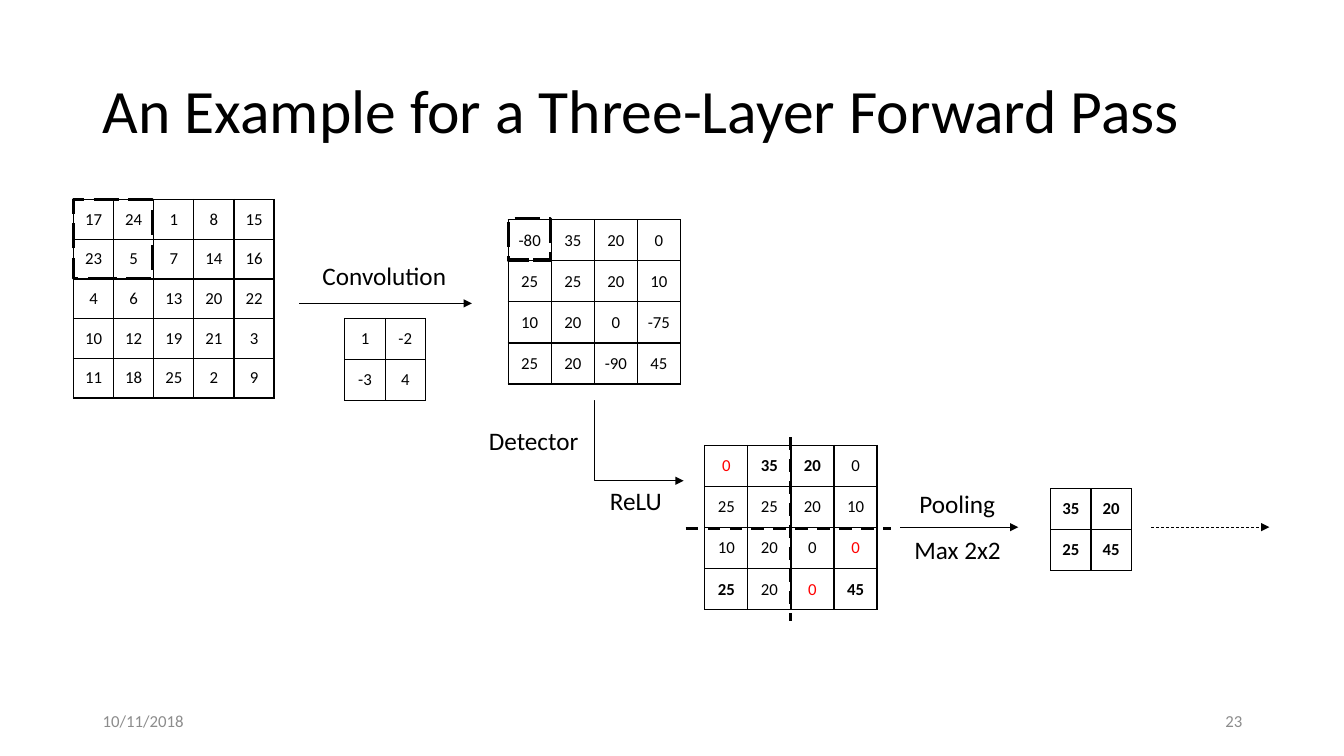
from itertools import product

from lxml.etree import SubElement
from pptx import Presentation
from pptx.dml.color import RGBColor
from pptx.enum.dml import MSO_LINE
from pptx.enum.shapes import MSO_CONNECTOR, MSO_SHAPE
from pptx.enum.text import MSO_ANCHOR, MSO_AUTO_SIZE, PP_ALIGN
from pptx.oxml import parse_xml
from pptx.oxml.ns import nsdecls, qn
from pptx.util import Inches, Pt

IMAGE = [
    [17, 24, 1, 8, 15],
    [23, 5, 7, 14, 16],
    [4, 6, 13, 20, 22],
    [10, 12, 19, 21, 3],
    [11, 18, 25, 2, 9],
]
KERNEL = [[1, -2], [-3, 4]]
WINDOW = list(product(range(2), repeat=2))


def color(hex_code):
    return RGBColor.from_string(hex_code)


class ForwardPassSlide:
    """Draws the elements of one slide in a shared style."""

    FONT = "Calibri"
    BLACK, RED, GRAY = "000000", "FF0000", "8C8C8C"

    def __init__(self, presentation):
        self.slide = presentation.slides.add_slide(presentation.slide_layouts[5])
        self.shapes = self.slide.shapes

    def style(self, paragraph, size, hex_code=BLACK, bold=False, align=PP_ALIGN.LEFT):
        paragraph.alignment = align
        font = paragraph.font
        font.name, font.size, font.bold = self.FONT, Pt(size), bold
        font.color.rgb = color(hex_code)

    def title(self, text, left, top, width, height):
        heading = self.shapes.title
        heading.left, heading.top = Inches(left), Inches(top)
        heading.width, heading.height = Inches(width), Inches(height)
        frame = heading.text_frame
        frame.text = text
        frame.auto_size = MSO_AUTO_SIZE.NONE
        frame.vertical_anchor = MSO_ANCHOR.MIDDLE
        frame.paragraphs[0].line_spacing = 0.9
        self.style(frame.paragraphs[0], 44)

    def label(self, text, left, top, width):
        frame = self.shapes.add_textbox(
            Inches(left), Inches(top), Inches(width), Inches(0.4)).text_frame
        frame.word_wrap = False
        frame.text = text
        self.style(frame.paragraphs[0], 18)

    def footer(self, text, left, align):
        frame = self.shapes.add_textbox(
            Inches(left), Inches(6.95), Inches(3), Inches(0.4)).text_frame
        frame.word_wrap = True
        frame.vertical_anchor = MSO_ANCHOR.MIDDLE
        frame.text = text
        self.style(frame.paragraphs[0], 12, self.GRAY, align=align)

    def matrix(self, values, left, top, width, height, bold=(), red=()):
        count = len(values)
        table = self.shapes.add_table(
            count, count, Inches(left), Inches(top), Inches(width), Inches(height)).table
        table.first_row = table.horz_banding = False
        for line in (*table.columns, *table.rows):
            if line in tuple(table.columns):
                line.width = Inches(width / count)
            else:
                line.height = Inches(height / count)
        for row, column in product(range(count), repeat=2):
            cell = table.cell(row, column)
            cell.text = str(values[row][column])
            cell.vertical_anchor = MSO_ANCHOR.MIDDLE
            cell.margin_left = cell.margin_right = Inches(0.02)
            cell.margin_top = cell.margin_bottom = Inches(0.02)
            self.style(cell.text_frame.paragraphs[0], 12,
                       self.RED if (row, column) in red else self.BLACK,
                       (row, column) in bold, PP_ALIGN.CENTER)
            cell.fill.background()
            self.borders(cell)

    def borders(self, cell):
        properties = cell._tc.get_or_add_tcPr()
        for index, side in enumerate("LRTB"):
            properties.insert(index, parse_xml(
                f'<a:ln{side} {nsdecls("a")} w="12700"><a:solidFill>'
                f'<a:srgbClr val="{self.BLACK}"/></a:solidFill></a:ln{side}>'))

    def connector(self, start, end, weight=0.5, dash=None, arrow=True,
                  kind=MSO_CONNECTOR.STRAIGHT):
        connector = self.shapes.add_connector(kind, *map(Inches, (*start, *end)))
        connector.line.color.rgb = color(self.BLACK)
        connector.line.width = Pt(weight)
        if dash:
            connector.line.dash_style = dash
        properties = connector._element.spPr
        if arrow:
            SubElement(properties.find(qn("a:ln")), qn("a:tailEnd"), type="triangle")
        SubElement(properties, qn("a:effectLst"))
        return connector

    def elbow(self, start, end, bend):
        connector = self.connector(start, end, kind=MSO_CONNECTOR.ELBOW)
        geometry = connector._element.spPr.find(qn("a:prstGeom"))
        adjustments = geometry.find(qn("a:avLst"))
        if adjustments is None:
            adjustments = SubElement(geometry, qn("a:avLst"))
        SubElement(adjustments, qn("a:gd"), name="adj1", fmla=f"val {bend}")

    def focus(self, left, top, width, height):
        frame = self.shapes.add_shape(
            MSO_SHAPE.RECTANGLE, Inches(left), Inches(top), Inches(width), Inches(height))
        frame.shadow.inherit = False
        frame.fill.background()
        frame.line.color.rgb = color(self.BLACK)
        frame.line.width = Pt(2.25)
        frame.line.dash_style = MSO_LINE.LONG_DASH


def convolve(image, kernel):
    size = len(image) - 1
    return [[sum(kernel[i][j] * image[row + i][column + j] for i, j in WINDOW)
             for column in range(size)] for row in range(size)]


def main():
    presentation = Presentation()
    presentation.slide_width, presentation.slide_height = Inches(13.33), Inches(7.5)
    page = ForwardPassSlide(presentation)

    features = convolve(IMAGE, KERNEL)
    rectified = [[max(0, value) for value in row] for row in features]
    clipped = [(row, column) for row, column in product(range(4), repeat=2)
               if features[row][column] < 0]
    peaks = [max(((2 * row + i, 2 * column + j) for i, j in WINDOW),
                 key=lambda place: rectified[place[0]][place[1]])
             for row, column in WINDOW]
    maxima = [rectified[row][column] for row, column in peaks]
    pooled = [maxima[:2], maxima[2:]]

    page.title("An Example for a Three-Layer Forward Pass", 0.92, 0.4, 11.5, 1.45)
    page.matrix(KERNEL, 3.42, 3.16, 0.8, 0.81)
    page.matrix(features, 5.04, 2.18, 1.71, 1.63)
    page.matrix(IMAGE, 0.73, 1.98, 1.99, 1.97)
    page.matrix(rectified, 6.99, 4.42, 1.71, 1.63, peaks, clipped)
    page.matrix(pooled, 10.42, 4.85, 0.8, 0.81, WINDOW)

    for text, left, top, width in (
        ("Convolution", 3.1, 2.53, 1.45),
        ("Detector", 4.75, 4.17, 1.15),
        ("ReLU", 5.95, 4.77, 0.72),
        ("Pooling", 9.02, 4.8, 1),
        ("Max 2x2", 8.97, 5.25, 1.08),
    ):
        page.label(text, left, top, width)

    page.connector((2.97, 3.01), (4.68, 3.01))
    page.connector((8.93, 5.23), (10.1, 5.23))
    page.connector((11.42, 5.23), (12.59, 5.23), dash=MSO_LINE.DASH)
    page.elbow((5.89, 3.97), (6.78, 4.77), 400)
    for start, end in (((6.8, 5.24), (8.84, 5.24)), ((7.84, 4.34), (7.84, 6.16))):
        page.connector(start, end, 2.25, MSO_LINE.DASH, arrow=False)
    page.focus(0.73, 1.98, 0.78, 0.78)
    page.focus(5.04, 2.17, 0.42, 0.41)

    page.footer("23", 9.42, PP_ALIGN.RIGHT)
    page.footer("10/11/2018", 0.92, PP_ALIGN.LEFT)
    presentation.save("out.pptx")


if __name__ == "__main__":
    main()
